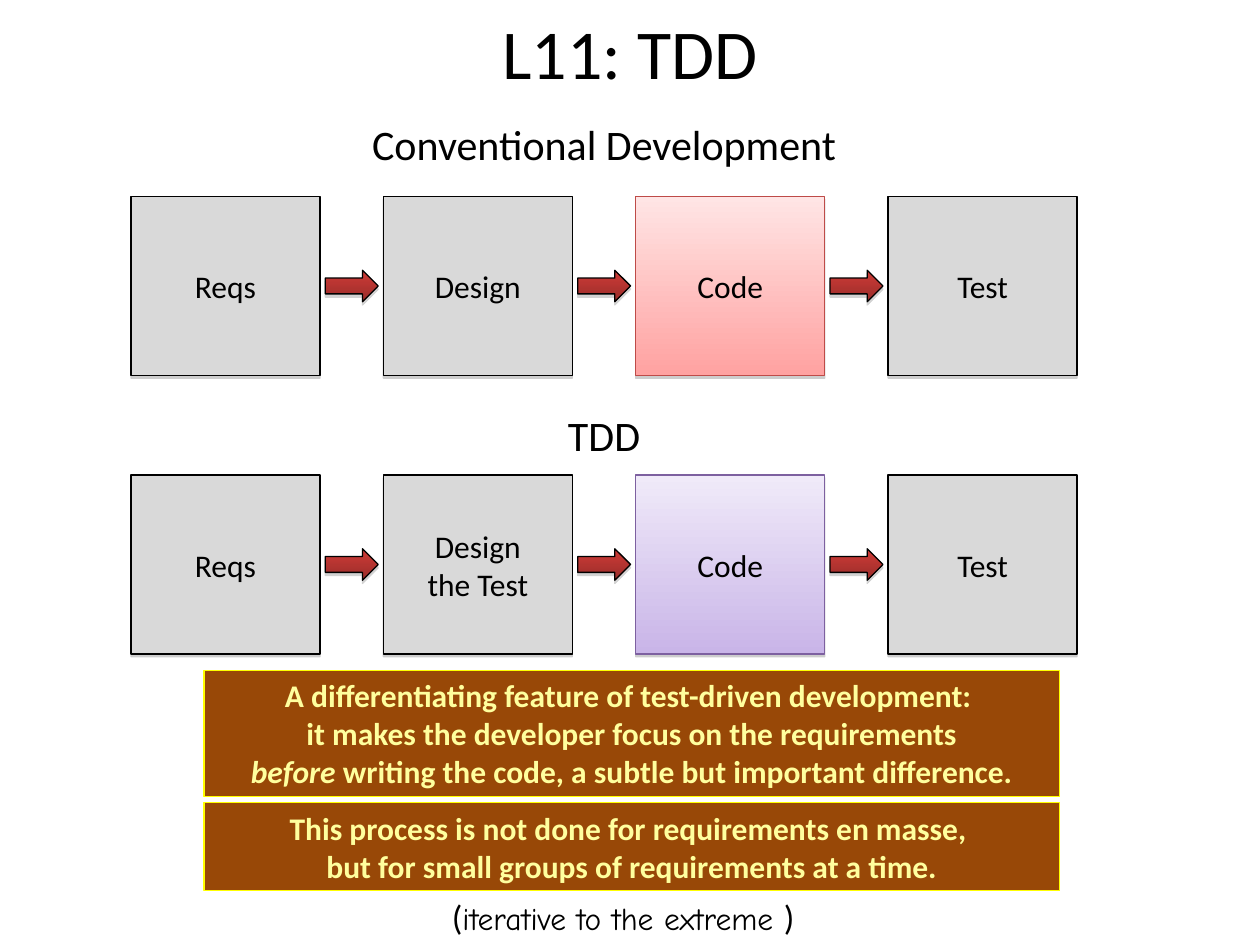
from dataclasses import dataclass

from lxml.etree import SubElement
from pptx import Presentation
from pptx.dml.color import RGBColor
from pptx.enum.shapes import MSO_SHAPE
from pptx.enum.text import MSO_ANCHOR, PP_ALIGN
from pptx.oxml.ns import qn
from pptx.util import Inches, Pt


@dataclass(frozen=True)
class Theme:
    font: str = "Calibri"
    hand_font: str = "Comic Neue"
    title: int = 40
    heading: int = 24
    large: int = 20
    body: int = 18
    black: str = "000000"
    grey: str = "D9D9D9"
    shadow: str = "808080"
    brown: str = "984807"
    yellow: str = "FFFF00"
    pale_yellow: str = "FFFF9E"
    red: tuple = ("CE3B37", "9B2D2A")
    pink: tuple = ("FFE5E5", "FFA2A1")
    pink_line: str = "BE4B48"
    purple: tuple = ("F0EAF9", "C9B5E8")
    purple_line: str = "7D60A0"


T = Theme()

# A text is a list of paragraphs; a paragraph is a list of (run text, format).
TITLE = "L11: TDD"
PROCESSES = [
    {"heading": "Conventional Development", "heading_top": 0.89, "heading_width": 3.9,
     "top": 1.56, "steps": ["Reqs", "Design", "Code", "Test"],
     "code_fill": T.pink, "code_line": T.pink_line},
    {"heading": "TDD", "heading_top": 3.2, "heading_width": 0.77,
     "top": 3.77, "steps": ["Reqs", "Design\nthe Test", "Code", "Test"],
     "code_fill": T.purple, "code_line": T.purple_line},
]
NOTES = [
    (5.32, 1.0, [[
        ("A differentiating feature of test-driven development: \v"
         "it makes the developer focus on the requirements\v", {}),
        ("before", {"italic": True}),
        (" writing the code, a subtle but important difference.", {}),
    ]]),
    (6.37, 0.7, "This process is not done for requirements en masse, \n"
                "but for small groups of requirements at a time."),
]
ASIDE = [[
    ("(", {}),
    ("iterative to the extreme ", {"size": T.body, "font": T.hand_font}),
    (")", {}),
]]

STEP_LEFT, STEP_PITCH, STEP_W, STEP_H = 1.04, 2.003, 1.5, 1.42
ARROW_W, ARROW_H = 0.42, 0.25
ROW_CENTER = STEP_LEFT + (3 * STEP_PITCH + STEP_W) / 2
NOTE_LEFT, NOTE_W = 1.62, 6.79


def format_run(r, size=T.body, color=T.black, font=T.font, bold=False, italic=False):
    r.font.size, r.font.name = Pt(size), font
    r.font.bold, r.font.italic = bold, italic
    r.font.color.rgb = RGBColor.from_string(color)


def write(s, text, anchor=MSO_ANCHOR.TOP, wrap=True, **fmt):
    """Fill a shape with a string or a list of paragraphs; \\v breaks a line."""
    tf = s.text_frame
    tf.word_wrap, tf.vertical_anchor = wrap, anchor
    paragraphs = text
    if isinstance(text, str):
        paragraphs = [[(line, {})] for line in text.split("\n")]
    for i, runs in enumerate(paragraphs):
        p = tf.add_paragraph() if i else tf.paragraphs[0]
        p.alignment = PP_ALIGN.CENTER
        for words, extra in runs:
            for j, line in enumerate(words.split("\v")):
                if j:
                    p.add_line_break()
                if line:
                    r = p.add_run()
                    r.text = line
                    format_run(r, **{**fmt, **extra})


def add_text(shapes, x, y, w, h, text, **fmt):
    s = shapes.add_textbox(Inches(x), Inches(y), Inches(w), Inches(h))
    write(s, text, **fmt)


def add_box(shapes, kind, x, y, w, h, fill, line):
    s = shapes.add_shape(kind, Inches(x), Inches(y), Inches(w), Inches(h))
    if isinstance(fill, tuple):
        s.fill.gradient()
        s.fill.gradient_angle = 270
        for stop, color in zip(s.fill.gradient_stops, fill):
            stop.color.rgb = RGBColor.from_string(color)
    else:
        s.fill.solid()
        s.fill.fore_color.rgb = RGBColor.from_string(fill)
    s.line.color.rgb = RGBColor.from_string(line)
    s.line.width = Pt(0.75)
    s.shadow.inherit = False
    return s


def drop_shadow(s, distance, opacity):
    effects = s._element.spPr.find(qn("a:effectLst"))
    shadow = SubElement(effects, qn("a:outerShdw"), blurRad="0", dist=str(Pt(distance)),
                        dir="5400000", rotWithShape="0")
    color = SubElement(shadow, qn("a:srgbClr"), val=T.shadow)
    SubElement(color, qn("a:alpha"), val=str(opacity * 1000))


def add_process(slide, process):
    width = process["heading_width"]
    add_text(slide.shapes, ROW_CENTER - width / 2, process["heading_top"], width, 0.5,
             process["heading"], size=T.heading, wrap=False)
    shapes = slide.shapes.add_group_shape().shapes
    top, steps = process["top"], process["steps"]
    for i, step in enumerate(steps):
        fill, line = T.grey, T.black
        if step == "Code":
            fill, line = process["code_fill"], process["code_line"]
        s = add_box(shapes, MSO_SHAPE.RECTANGLE, STEP_LEFT + i * STEP_PITCH, top,
                    STEP_W, STEP_H, fill, line)
        drop_shadow(s, 1.6, 38)
        write(s, step, anchor=MSO_ANCHOR.MIDDLE)
    gap = STEP_PITCH - STEP_W
    for i in range(len(steps) - 1):
        x = STEP_LEFT + i * STEP_PITCH + STEP_W + (gap - ARROW_W) / 2
        s = add_box(shapes, MSO_SHAPE.RIGHT_ARROW, x, top + (STEP_H - ARROW_H) / 2,
                    ARROW_W, ARROW_H, T.red, T.black)
        drop_shadow(s, 1.8, 35)


def main():
    prs = Presentation()
    prs.slide_width, prs.slide_height = Inches(10), Inches(7.5)
    slide = prs.slides.add_slide(prs.slide_layouts[5])
    title = slide.shapes.title
    title.left, title.top, title.width, title.height = (
        Inches(v) for v in (0.5, 0.01, 9, 0.8))
    write(title, TITLE, anchor=MSO_ANCHOR.MIDDLE, size=T.title)
    for process in PROCESSES:
        add_process(slide, process)
    for top, height, text in NOTES:
        s = add_box(slide.shapes, MSO_SHAPE.RECTANGLE, NOTE_LEFT, top, NOTE_W, height,
                    T.brown, T.yellow)
        write(s, text, color=T.pale_yellow, bold=True)
    add_text(slide.shapes, 2.97, 7.06, 3.95, 0.44, ASIDE, size=T.large)
    prs.save("out.pptx")


if __name__ == "__main__":
    main()
